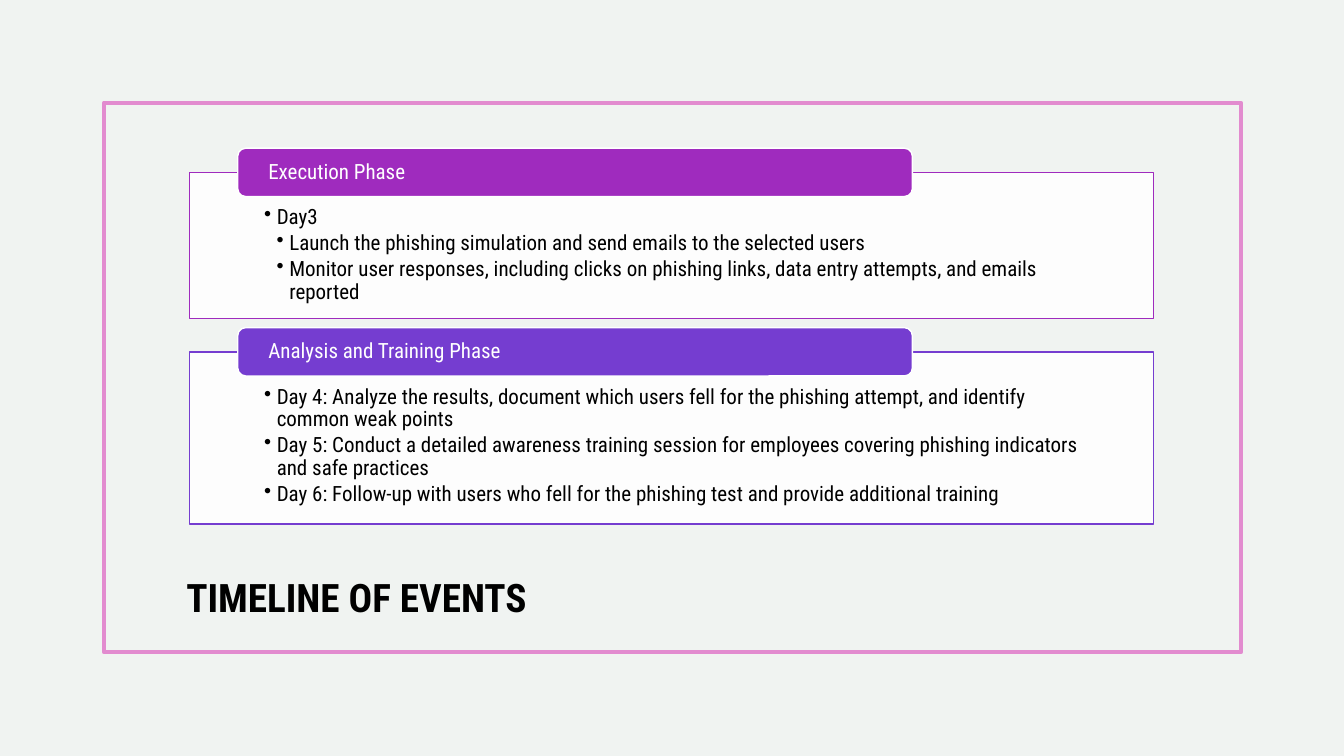
from dataclasses import dataclass

from lxml import etree
from pptx import Presentation
from pptx import util as u
from pptx.dml.color import RGBColor
from pptx.enum import shapes, text
from pptx.oxml.ns import qn


@dataclass(frozen=True)
class Theme:
    font: str = "Roboto Condensed"
    background: str = "F0F3F1"
    frame: str = "E28BCF"
    ink: str = "000000"
    paper: str = "FFFFFF"
    execution: str = "9F2BBE"
    analysis: str = "753DD0"
    title_size: int = 28
    body_size: int = 15


THEME = Theme()

# Each phase: heading, colour, top, height, bullets as (level, wording)
PHASES = [
    ("Execution Phase", THEME.execution, 1.71, 1.45, [
        (1, "Day3"),
        (2, "Launch the phishing simulation and send emails to the selected users"),
        (2, "Monitor user responses, including clicks on phishing links, "
            "data entry attempts, and emails reported"),
    ]),
    ("Analysis and Training Phase", THEME.analysis, 3.49, 1.71, [
        (1, "Day 4: Analyze the results, document which users fell for the "
            "phishing attempt, and identify common weak points"),
        (1, "Day 5: Conduct a detailed awareness training session for employees "
            "covering phishing indicators and safe practices"),
        (1, "Day 6: Follow-up with users who fell for the phishing test and "
            "provide additional training"),
    ]),
]


def rgb(code):
    return RGBColor.from_string(code)


def add_box(slide, kind, box, line, line_width, fill=None):
    """Add an outlined shape, hollow unless a fill is given."""
    outline = slide.shapes.add_shape(kind, *map(u.Inches, box))
    outline.shadow.inherit = False
    outline.line.color.rgb = rgb(line)
    outline.line.width = u.Pt(line_width)
    if fill:
        outline.fill.solid()
        outline.fill.fore_color.rgb = rgb(fill)
    else:
        outline.fill.background()
    return outline


def set_frame(frame, anchor, insets):
    frame.word_wrap = True
    frame.vertical_anchor = anchor
    (frame.margin_left, frame.margin_top,
     frame.margin_right, frame.margin_bottom) = map(u.Inches, insets)


def style(paragraph, size, color, spacing=0.9, bold=False):
    paragraph.alignment = text.PP_ALIGN.LEFT
    paragraph.line_spacing = spacing
    font = paragraph.font
    font.name, font.size, font.bold = THEME.font, u.Pt(size), bold
    font.color.rgb = rgb(color)


def add_bullet(paragraph, level):
    props = paragraph._p.get_or_add_pPr()
    props.set("marL", str(u.Inches(0.125 * level)))
    props.set("indent", str(u.Inches(-0.125)))
    bullet_color = etree.SubElement(props, qn("a:buClr"))
    etree.SubElement(bullet_color, qn("a:srgbClr"), val=THEME.ink)
    etree.SubElement(props, qn("a:buChar"), char="•")


def add_phase(slide, box, heading, color, bullets):
    left, top, width, height = box

    # Panel with its bullets
    panel = add_box(slide, shapes.MSO_SHAPE.RECTANGLE, box, color, 1, THEME.paper)
    panel_color = panel.fill._xPr.find(qn("a:solidFill"))[0]
    etree.SubElement(panel_color, qn("a:alpha"), val="90000")
    frame = panel.text_frame
    set_frame(frame, text.MSO_ANCHOR.TOP, (0.74, 0.34, 0.74, 0.12))
    for index, (level, wording) in enumerate(bullets):
        item = frame.add_paragraph() if index else frame.paragraphs[0]
        item.text = wording
        add_bullet(item, level)
        if index:
            item.space_before = u.Pt(2.2)
        style(item, THEME.body_size, THEME.ink)

    # Heading tab across the panel's top edge
    tab_height = 0.48
    tab_box = (left + width * 0.05, top - tab_height / 2, width * 0.7, tab_height)
    tab = add_box(slide, shapes.MSO_SHAPE.ROUNDED_RECTANGLE, tab_box,
                  THEME.paper, 1, color)
    set_frame(tab.text_frame, text.MSO_ANCHOR.MIDDLE, (0.28, 0, 0.28, 0))
    tab.text_frame.text = heading
    style(tab.text_frame.paragraphs[0], THEME.body_size, THEME.paper)


def add_title(slide, box, wording):
    title = slide.shapes.add_textbox(*map(u.Inches, box)).text_frame
    set_frame(title, text.MSO_ANCHOR.BOTTOM, (0.1, 0.05, 0.1, 0.05))
    title.text = wording
    style(title.paragraphs[0], THEME.title_size, THEME.ink, 1.1, True)


def add_timeline_slide(deck):
    slide = deck.slides.add_slide(deck.slide_layouts[6])
    slide.background.fill.solid()
    slide.background.fill.fore_color.rgb = rgb(THEME.background)
    add_box(slide, shapes.MSO_SHAPE.RECTANGLE, (1.03, 1.02, 11.28, 5.45),
            THEME.frame, 3)
    add_title(slide, (1.75, 5.51, 4.92, 0.69), "TIMELINE OF EVENTS")
    for heading, color, top, height, bullets in PHASES:
        add_phase(slide, (1.88, top, 9.56, height), heading, color, bullets)


def main():
    deck = Presentation()
    deck.slide_width, deck.slide_height = u.Inches(13.33), u.Inches(7.5)
    add_timeline_slide(deck)
    deck.save("out.pptx")


if __name__ == "__main__":
    main()
